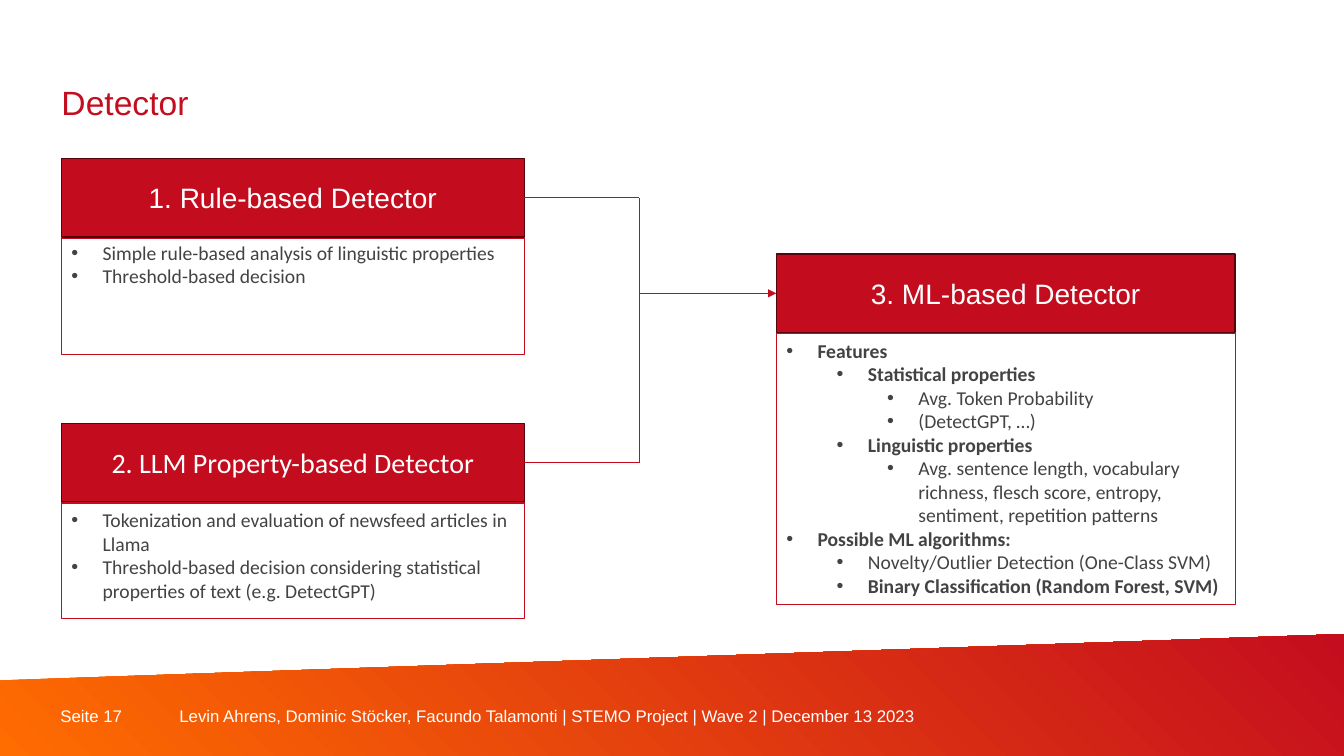
from lxml import etree
from pptx import Presentation
from pptx.dml.color import RGBColor
from pptx.enum import shapes, text
from pptx.oxml import ns
from pptx.util import Inches, Pt

ORANGE = RGBColor(0xFF, 0x6C, 0x00)
BRAND_RED = RGBColor(0xC4, 0x0D, 0x1E)
RED = RGBColor(0xC3, 0x0D, 0x1E)
DARK_RED = RGBColor(0x55, 0x06, 0x0D)
GREY = RGBColor(0x43, 0x43, 0x43)
WHITE = RGBColor(0xFF, 0xFF, 0xFF)

TITLE = "Detector"
PAGE = "Seite 17"
FOOTER = ("Levin Ahrens, Dominic Stöcker, Facundo Talamonti |\u00a0STEMO Project"
          " | Wave 2 | December 13 2023")

RULE_POINTS = [
    (0, False, "Simple rule-based analysis of linguistic properties"),
    (0, False, "Threshold-based decision"),
]
LLM_POINTS = [
    (0, False, "Tokenization and evaluation of newsfeed articles in Llama"),
    (0, False, "Threshold-based decision considering statistical properties of text (e.g. DetectGPT)"),
]
ML_POINTS = [
    (0, True, "Features"),
    (1, True, "Statistical properties"),
    (2, False, "Avg. Token Probability"),
    (2, False, "(DetectGPT, …)"),
    (1, True, "Linguistic properties"),
    (2, False, "Avg. sentence length, vocabulary richness, flesch score, entropy, "
               "sentiment, repetition patterns"),
    (0, True, "Possible ML algorithms:"),
    (1, False, "Novelty/Outlier Detection (One-Class SVM)"),
    (1, True, "Binary Classification (Random Forest, SVM)"),
]

WIDTH, HEIGHT = 13.33, 7.5
LEFT, LEFT_WIDTH = 0.61, 4.59
RIGHT, RIGHT_WIDTH = 7.7, 4.55
HEADER = 0.78
JUNCTION = 6.34
RULE_ROW, LLM_ROW, ML_ROW = 1.57, 4.2, 2.52

# heading, font, column, width, header row, frame row, frame height, text row, text height, points
DETECTORS = [
    ("1. Rule-based Detector", "Arial", LEFT, LEFT_WIDTH, RULE_ROW, 2.37, 1.15, 2.34, 0.57, RULE_POINTS),
    ("2. LLM Property-based Detector", "Calibri", LEFT, LEFT_WIDTH, LLM_ROW, 4.99, 1.15, 4.99, 1.04, LLM_POINTS),
    ("3. ML-based Detector", "Arial", RIGHT, RIGHT_WIDTH, ML_ROW, 3.31, 2.69, 3.31, 2.69, ML_POINTS),
]

deck = Presentation()
deck.slide_width, deck.slide_height = Inches(WIDTH), Inches(HEIGHT)
slide = deck.slides.add_slide(deck.slide_layouts[6])


def style(paragraph, font, size, color, bold=False):
    paragraph.font.name = font
    paragraph.font.size = Pt(size)
    paragraph.font.color.rgb = color
    paragraph.font.bold = bold


def add_text(x, y, w, h):
    box = slide.shapes.add_textbox(*map(Inches, (x, y, w, h)))
    box.text_frame.word_wrap = True
    return box.text_frame


def add_label(words, x, y, w, h, size, color, anchor):
    frame = add_text(x, y, w, h)
    frame.margin_left = frame.margin_right = frame.margin_top = frame.margin_bottom = 0
    frame.vertical_anchor = anchor
    label = frame.paragraphs[0]
    label.text = words
    style(label, "Arial", size, color)
    return label


def add_box(x, y, w, h, line, weight):
    box = slide.shapes.add_shape(shapes.MSO_SHAPE.RECTANGLE, *map(Inches, (x, y, w, h)))
    box.shadow.inherit = False
    box.fill.background()
    box.line.color.rgb = line
    box.line.width = Pt(weight)
    return box


def add_header(words, font, x, y, w):
    box = add_box(x, y, w, HEADER, DARK_RED, 1)
    box.fill.solid()
    box.fill.fore_color.rgb = RED
    box.text_frame.vertical_anchor = text.MSO_ANCHOR.MIDDLE
    heading = box.text_frame.paragraphs[0]
    heading.text = words
    heading.alignment = text.PP_ALIGN.CENTER
    style(heading, font, 20, WHITE)


def add_points(points, x, y, w, h):
    frame = add_text(x, y, w, h)
    frame.auto_size = text.MSO_AUTO_SIZE.SHAPE_TO_FIT_TEXT
    for index, (level, bold, words) in enumerate(points):
        point = frame.add_paragraph() if index else frame.paragraphs[0]
        point.text = words
        point.level = level
        props = point._p.get_or_add_pPr()
        props.set("marL", str(Inches(0.31 + 0.5 * level)))
        props.set("indent", str(-Inches(0.31)))
        etree.SubElement(props, ns.qn("a:buFont")).set("typeface", "Arial")
        etree.SubElement(props, ns.qn("a:buChar")).set("char", "•")
        style(point, "Calibri", 14, GREY, bold)


def add_line(x1, y1, x2, y2, arrow=False):
    link = slide.shapes.add_connector(shapes.MSO_CONNECTOR.STRAIGHT, *map(Inches, (x1, y1, x2, y2)))
    link.line.color.rgb = RED
    link.line.width = Pt(0.5)
    if arrow:
        etree.SubElement(link.line._get_or_add_ln(), ns.qn("a:tailEnd")).set("type", "triangle")
    etree.SubElement(link._element.spPr, ns.qn("a:effectLst"))


outline = slide.shapes.build_freeform(0, Inches(6.75), scale=1.0)
outline.add_line_segments([(Inches(x), Inches(y)) for x, y in
                           ((WIDTH, 6.29), (WIDTH, HEIGHT), (0, HEIGHT))], close=True)
band = outline.convert_to_shape()
band.shadow.inherit = False
band.line.fill.background()
band.fill.gradient()
band.fill.gradient_angle = 45
for stop, color in zip(band.fill.gradient_stops, (ORANGE, BRAND_RED)):
    stop.color.rgb = color

add_label(PAGE, 0.6, 7, 1.18, 0.21, 12, WHITE, text.MSO_ANCHOR.MIDDLE)
add_label(FOOTER, 1.78, 7, 8.33, 0.2, 12, WHITE, text.MSO_ANCHOR.MIDDLE)
title = add_label(TITLE, LEFT, 0.43, 9.09, 0.78, 24, BRAND_RED, text.MSO_ANCHOR.BOTTOM)
title.line_spacing = Pt(28)

for heading, font, x, w, row, frame_row, frame_h, text_row, text_h, points in DETECTORS:
    add_header(heading, font, x, row, w)
    add_box(x, frame_row, w, frame_h, RED, 0.75)
    add_points(points, x, text_row, w, text_h)

rule_mid, llm_mid, ml_mid = (row + HEADER / 2 for row in (RULE_ROW, LLM_ROW, ML_ROW))
for mid in (rule_mid, llm_mid):
    add_line(LEFT + LEFT_WIDTH, mid, JUNCTION, mid)
add_line(JUNCTION, rule_mid, JUNCTION, llm_mid)
add_line(JUNCTION, ml_mid, RIGHT, ml_mid, arrow=True)

deck.save("out.pptx")
